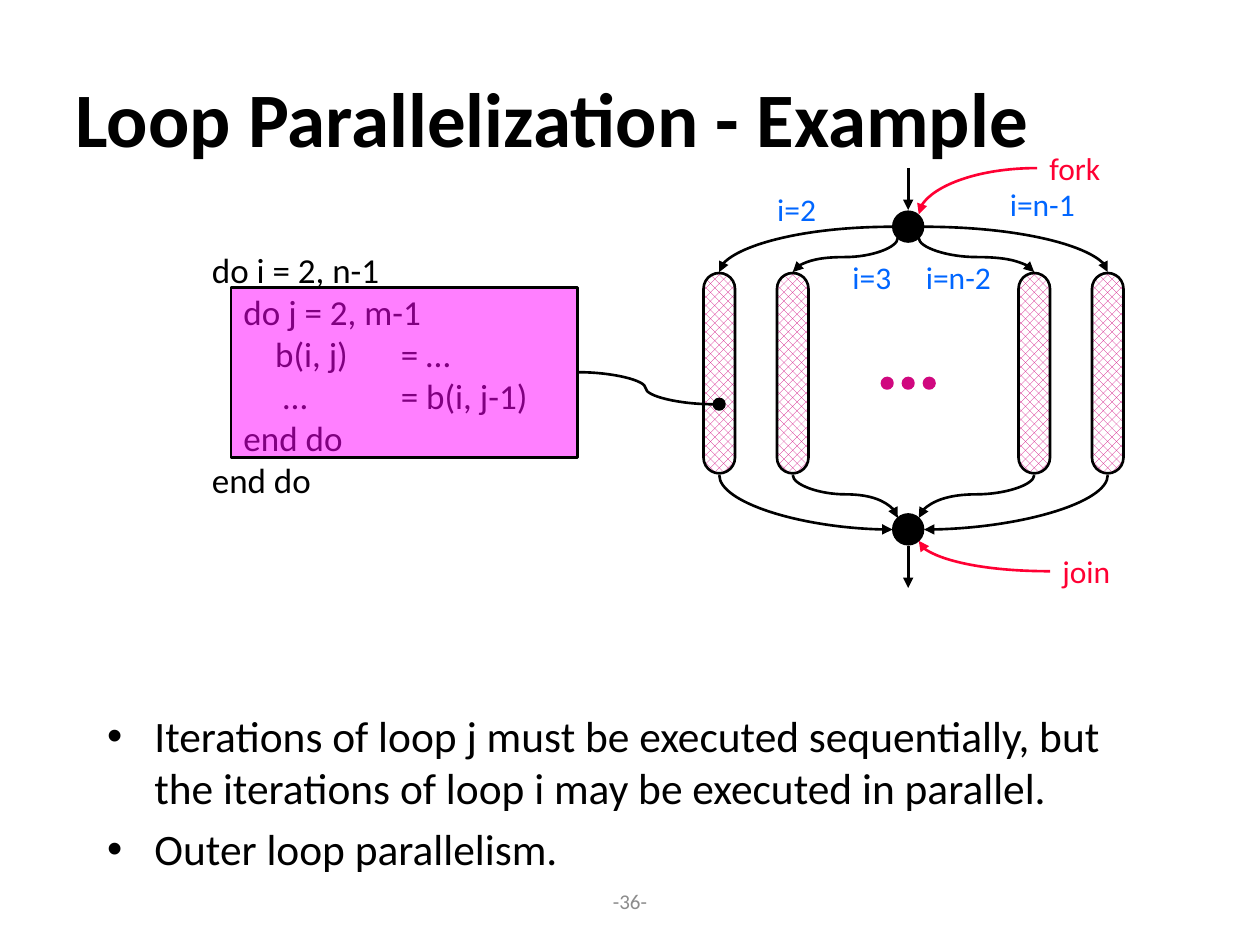
from lxml import etree
from pptx import Presentation
from pptx.dml.color import RGBColor
from pptx.enum.dml import MSO_PATTERN
from pptx.enum.shapes import MSO_CONNECTOR as CONNECTOR, MSO_SHAPE as SHAPE
from pptx.enum.text import MSO_ANCHOR, MSO_AUTO_SIZE, PP_ALIGN
from pptx.oxml.ns import qn
from pptx.util import Pt

BLACK = RGBColor(0x00, 0x00, 0x00)
WHITE = RGBColor(0xFF, 0xFF, 0xFF)
GRAY = RGBColor(0x8C, 0x8C, 0x8C)
BLUE = RGBColor(0x00, 0x66, 0xFF)
RED = RGBColor(0xFF, 0x00, 0x33)
PINK = RGBColor(0xD0, 0x08, 0x7F)
MAGENTA = RGBColor(0xFF, 0x00, 0xFF)

presentation = Presentation()
presentation.slide_width, presentation.slide_height = Pt(720), Pt(540)
slide = presentation.slides.add_slide(presentation.slide_layouts[1])


def write_text(shape, box, lines, size, color, bold=False,
               anchor=MSO_ANCHOR.TOP, align=PP_ALIGN.LEFT):
    """Place a text shape and fill it, one paragraph per line."""
    shape.left, shape.top, shape.width, shape.height = map(Pt, box)
    frame = shape.text_frame
    frame.word_wrap, frame.auto_size = True, MSO_AUTO_SIZE.NONE
    frame.vertical_anchor = anchor
    frame.text = "\n".join(lines)
    font_values = {"name": "Calibri", "size": Pt(size), "bold": bold}
    for paragraph in frame.paragraphs:
        paragraph.alignment = align
        for run in paragraph.runs:
            for name, value in font_values.items():
                setattr(run.font, name, value)
            run.font.color.rgb = color
    return frame.paragraphs


def connect(start, end, color=BLACK, preset="line", vertical=False,
            bend=None, arrow=True):
    """Draw a line or curve; vertical curves leave their start downwards."""
    (x1, y1), (x2, y2) = start, end
    kind = CONNECTOR.STRAIGHT if preset == "line" else CONNECTOR.CURVE
    connector = slide.shapes.add_connector(kind, Pt(x1), Pt(y1), Pt(x2), Pt(y2))
    connector.line.color.rgb = color
    connector.line.width = Pt(1.5)
    properties = connector.element.spPr
    if arrow:
        etree.SubElement(connector.line._get_or_add_ln(), qn("a:tailEnd"), type="triangle")
    etree.SubElement(properties, qn("a:effectLst"))
    if preset == "line":
        return
    # Turn the curve so that it leaves its start in the right direction
    across, down = abs(x2 - x1), abs(y2 - y1)
    width, height = (down, across) if vertical else (across, down)
    connector.left, connector.top = Pt((x1 + x2 - width) / 2), Pt((y1 + y2 - height) / 2)
    connector.width, connector.height = Pt(width), Pt(height)
    leftward = x2 < x1
    if vertical:
        angle = 90 if leftward else 270
    else:
        angle = 180 if leftward else 0
    transform = properties.find(qn("a:xfrm"))
    transform.set("rot", str(angle * 60000))
    transform.set("flipH", str(int(vertical and not leftward)))
    transform.set("flipV", str(int(not vertical and leftward and y2 > y1)))
    geometry = properties.find(qn("a:prstGeom"))
    geometry.set("prst", preset)
    if bend:
        etree.SubElement(geometry.find(qn("a:avLst")), qn("a:gd"),
                         name="adj1", fmla=f"val {round(bend * 100000)}")


# Title, list and page number
write_text(slide.shapes.title, (36, 21.6, 648, 90), ["Loop Parallelization - Example"],
           44, BLACK, bold=True, anchor=MSO_ANCHOR.MIDDLE)
bullets = write_text(
    slide.placeholders[1], (54, 401.8, 612, 113.8),
    ["Iterations of loop j must be executed sequentially, but the iterations "
     "of loop i may be executed in parallel.",
     "Outer loop parallelism."], 24.8, BLACK)
for index, paragraph in enumerate(bullets):
    paragraph.space_before = Pt(5 * index)
    list_format = paragraph._p.get_or_add_pPr()
    list_format.set("marL", str(Pt(27)))
    list_format.set("indent", str(-Pt(27)))
write_text(slide.shapes.add_textbox(0, 0, 0, 0), (246, 500.4, 228, 28.8), ["-36-"],
           12, GRAY, anchor=MSO_ANCHOR.MIDDLE, align=PP_ALIGN.CENTER)

# Code listing with one tab stop
code = ["do i = 2, n-1",
        "    do j = 2, m-1",
        "        b(i, j)\t= …",
        "         …\t= b(i, j-1)",
        "    end do",
        "end do"]
for paragraph in write_text(slide.shapes.add_textbox(0, 0, 0, 0),
                            (114, 138.2, 208, 151.2), code, 20, BLACK):
    tabs = etree.SubElement(paragraph._p.get_or_add_pPr(), qn("a:tabLst"))
    etree.SubElement(tabs, qn("a:tab"), pos=str(Pt(108)), algn="l")

# Nodes, dots, inner loop highlight and iteration bars
CENTER, BAR_TOP, BAR_HEIGHT = 519, 156, 114.5
BAR_CENTERS = (411, 453, 591, 633)
parts = [(SHAPE.OVAL, CENTER - 8.5, top, 17, 17, BLACK, BLACK) for top in (121, 294)]
parts += [(SHAPE.ROUNDED_RECTANGLE, center - 9, BAR_TOP, 18, BAR_HEIGHT, None, BLACK)
          for center in BAR_CENTERS]
parts += [(SHAPE.OVAL, CENTER + offset - 3, 216, 6, 6, PINK, PINK) for offset in (-12, 0, 12)]
parts += [(SHAPE.RECTANGLE, 132, 164.4, 198, 97, MAGENTA, BLACK),
          (SHAPE.OVAL, 408, 228, 6, 6, BLACK, BLACK)]
for kind, left, top, width, height, fill, outline in parts:
    shape = slide.shapes.add_shape(kind, Pt(left), Pt(top), Pt(width), Pt(height))
    shape.shadow.inherit = False
    shape.line.color.rgb, shape.line.width = outline, Pt(1.5)
    if fill is None:
        shape.adjustments[0] = 0.5
        shape.fill.patterned()
        shape.fill.pattern = MSO_PATTERN.PERCENT_50
        shape.fill.fore_color.rgb, shape.fill.back_color.rgb = PINK, WHITE
    else:
        shape.fill.solid()
        shape.fill.fore_color.rgb = fill
    if fill == MAGENTA:
        color_element = shape.element.spPr.find(qn("a:solidFill"))[0]
        etree.SubElement(color_element, qn("a:alpha"), val="50000")

# Curves from the fork node to the bars and on to the join node
QUARTER, WAVE = "curvedConnector2", "curvedConnector3"
for center, outer in zip(BAR_CENTERS, (True, False, False, True)):
    side = -1 if center < CENTER else 1
    top, bottom = (center, BAR_TOP - 0.5), (center, BAR_TOP + BAR_HEIGHT + 1)
    if outer:
        connect((CENTER + side * 9, 129.6), top, preset=QUARTER)
        connect(bottom, (CENTER + side * 9, 302.6), preset=QUARTER, vertical=True)
    else:
        connect((CENTER + side * 6, 136), top, preset=WAVE, vertical=True, bend=0.56)
        connect(bottom, (CENTER + side * 6, 296), preset=WAVE, vertical=True, bend=0.45)

# Entry and exit arrows, red pointers, link from the code to a bar
for top in (96, 312):
    connect((CENTER, top), (CENTER, top + 24))
connect((592.6, 96), (525, 122.4), RED, QUARTER)
connect((600, 326.4), (525, 309), RED, QUARTER)
connect((330.5, 212.7), (407.5, 231), preset=WAVE, bend=0.5, arrow=False)

# Labels
for text, left, top, width, color in (
        ("fork", 592.6, 81.4, 52, RED), ("join", 600, 312, 45.4, RED),
        ("i=2", 437, 105.1, 40, BLUE), ("i=3", 480, 144, 40, BLUE),
        ("i=n-2", 522, 144, 56, BLUE), ("i=n-1", 570, 102.2, 56, BLUE)):
    write_text(slide.shapes.add_textbox(0, 0, 0, 0), (left, top, width, 28.8),
               [text], 18, color)

presentation.save("out.pptx")
